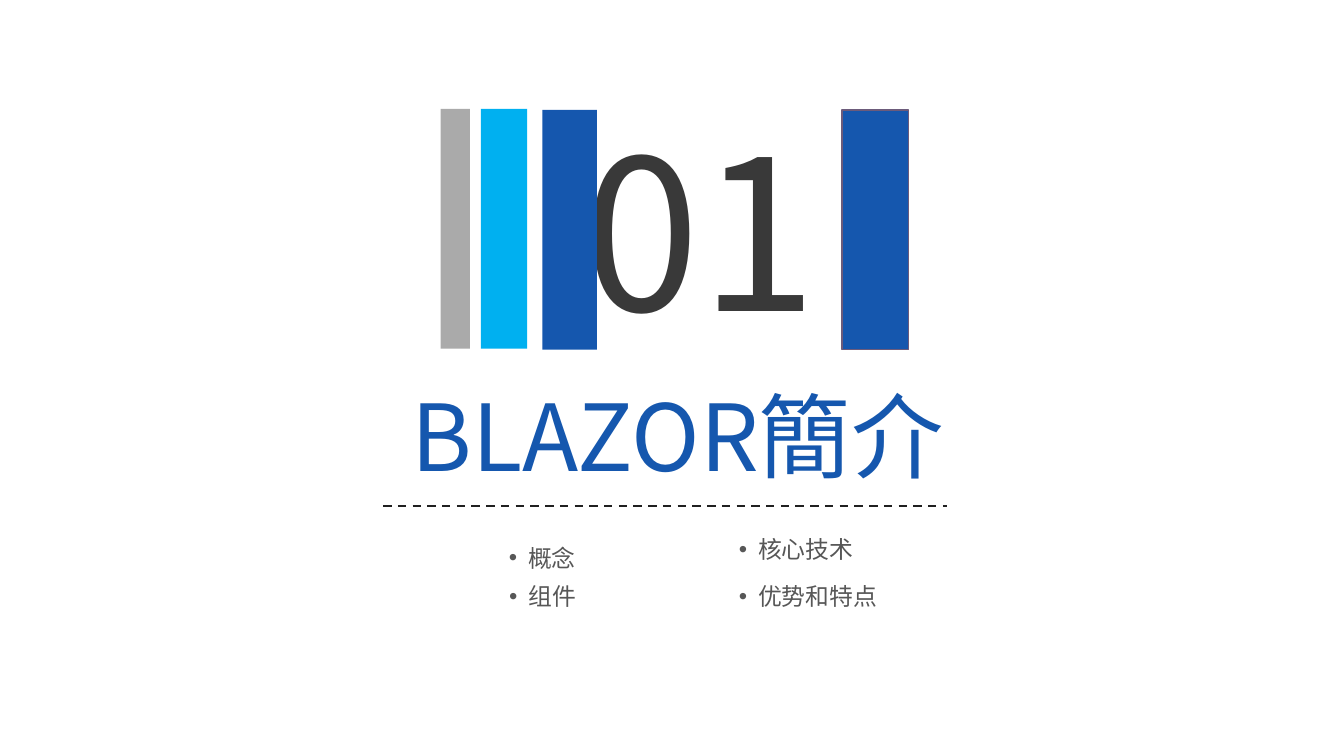
from pptx import Presentation
from pptx.dml.color import RGBColor
from pptx.enum.dml import MSO_LINE
from pptx.enum.shapes import MSO_CONNECTOR, MSO_SHAPE
from pptx.enum.text import MSO_ANCHOR, MSO_AUTO_SIZE, PP_ALIGN
from pptx.oxml.ns import qn
from pptx.util import Inches, Pt
from lxml import etree

RECT = MSO_SHAPE.RECTANGLE
STRAIGHT = MSO_CONNECTOR.STRAIGHT
DASH = MSO_LINE.DASH
GROW = MSO_AUTO_SIZE.SHAPE_TO_FIT_TEXT
TOP = MSO_ANCHOR.TOP
LEFT = PP_ALIGN.LEFT
TITLE_ONLY = 5

COLORS = {
    "blue": "1557AE",
    "cyan": "00B0F0",
    "gray": "AAAAAA",
    "purple": "6C5B7B",
    "digits": "393939",
    "body": "575757",
    "rule": "202020",
}
SC = "Noto Sans CJK SC"
JP = "Noto Sans CJK JP"


def rgb(name):
    return RGBColor.from_string(COLORS[name])


class SectionSlide:
    def __init__(self, prs):
        self.s = prs.slides.add_slide(prs.slide_layouts[TITLE_ONLY])

    def fill_text(self, sp, box, text, size, color, latin, asian, wrap=False):
        sp.left, sp.top, sp.width, sp.height = (Inches(v) for v in box)
        tf = sp.text_frame
        tf.text = text
        tf.word_wrap = wrap
        tf.auto_size = GROW
        tf.vertical_anchor = TOP
        p = tf.paragraphs[0]
        p.alignment = LEFT
        r = p.runs[0]
        r.font.size = Pt(size)
        r.font.name = latin
        r.font.color.rgb = rgb(color)
        ea = etree.SubElement(r.font._element, qn("a:ea"))
        ea.set("typeface", asian)
        return p

    def title(self, box, text):
        self.fill_text(self.s.shapes.title, box, text, 66, "blue", SC, SC)

    def text(self, box, text, size, color, latin, asian, wrap=False):
        sp = self.s.shapes.add_textbox(0, 0, 0, 0)
        return self.fill_text(sp, box, text, size, color, latin, asian, wrap)

    def bullet(self, box, text, wrap):
        p = self.text(box, text, 17, "body", "Arial", SC, wrap)
        p.level = 1
        pPr = p._p.get_or_add_pPr()
        pPr.set("marL", str(Inches(0.19)))
        pPr.set("indent", str(-Inches(0.19)))
        etree.SubElement(pPr, qn("a:buFont")).set("typeface", "Arial")
        etree.SubElement(pPr, qn("a:buChar")).set("char", "•")

    def bar(self, x, y, w, fill, line=None):
        sp = self.s.shapes.add_shape(
            RECT, Inches(x), Inches(y), Inches(w), Inches(2.38))
        sp.shadow.inherit = False
        sp.fill.solid()
        sp.fill.fore_color.rgb = rgb(fill)
        if line:
            sp.line.color.rgb = rgb(line)
            sp.line.width = Pt(1)
        else:
            sp.line.fill.background()

    def dashed_rule(self, x1, x2, y):
        cn = self.s.shapes.add_connector(
            STRAIGHT, Inches(x1), Inches(y), Inches(x2), Inches(y))
        cn.line.color.rgb = rgb("rule")
        cn.line.width = Pt(1.5)
        cn.line.dash_style = DASH
        etree.SubElement(cn._element.spPr, qn("a:effectLst"))


def main():
    prs = Presentation()
    prs.slide_width, prs.slide_height = Inches(13.33), Inches(7.5)
    slide = SectionSlide(prs)

    # Section number and title
    slide.text((5.69, 0.96, 2.88, 2.63), "01", 150, "digits", JP, JP)
    slide.title((3.98, 3.71, 5.75, 1.21), "BLAZOR簡介")

    # Topics in two columns
    for x, y, w, topic, wrap in [
        (4.95, 5.34, 0.87, "概念", False),
        (7.23, 5.26, 1.34, "核心技术", False),
        (4.95, 5.72, 1.01, "组件", True),
        (7.23, 5.72, 1.58, "优势和特点", False),
    ]:
        slide.bullet((x, y, w, 0.39), topic, wrap)

    # Rule under the title
    slide.dashed_rule(3.8, 9.39, 5.02)

    # Bars around the number
    slide.bar(4.37, 1.08, 0.29, "gray")
    slide.bar(4.77, 1.08, 0.46, "cyan")
    slide.bar(5.38, 1.09, 0.54, "blue")
    slide.bar(8.35, 1.09, 0.66, "blue", line="purple")

    prs.save("out.pptx")


if __name__ == "__main__":
    main()
